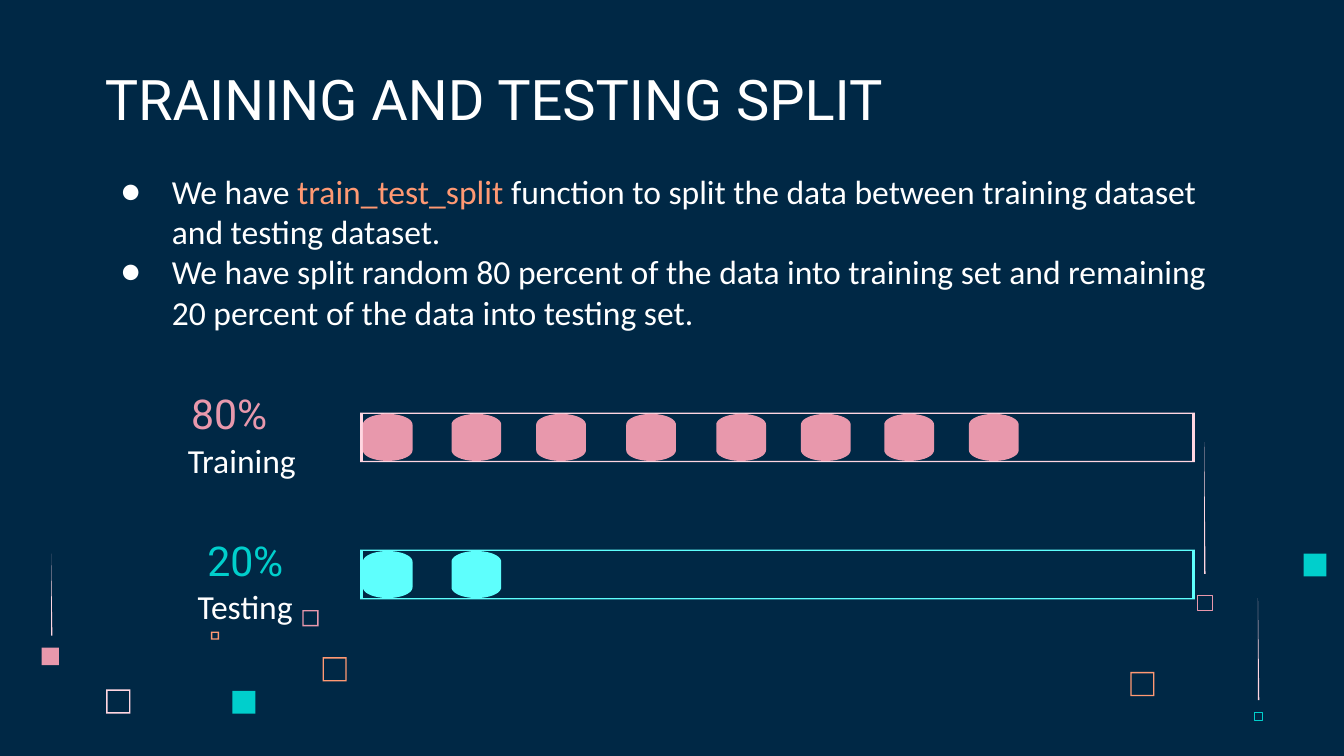
from math import cos, pi, sin
from typing import NamedTuple

from lxml.etree import SubElement
from pptx import Presentation
from pptx.dml.color import RGBColor
from pptx.enum.shapes import MSO_SHAPE
from pptx.enum.text import MSO_ANCHOR, PP_ALIGN
from pptx.oxml.ns import qn
from pptx.util import Inches, Pt

HUES = {
    "navy": "002845", "white": "FFFFFF", "blush": "FFD6E1", "pink": "E898AC",
    "orange": "FF9973", "teal": "00CFCC", "aqua": "5EFFFD",
}


class Square(NamedTuple):
    x: float
    y: float
    size: float
    hue: str


class Spike(NamedTuple):
    x: float
    y: float
    height: float


class Label(NamedTuple):
    text: str
    x: float
    y: float
    width: float
    font: str
    size: int
    hue: str


class Bar(NamedTuple):
    y: float
    rim: str
    hue: str
    count: int


FRAMES = [
    Square(0.79, 5.13, 0.18, "blush"),
    Square(2.25, 4.54, 0.12, "pink"),
    Square(1.57, 4.7, 0.06, "orange"),
    Square(2.4, 4.89, 0.18, "orange"),
    Square(8.41, 5, 0.18, "orange"),
]
SOLIDS = [
    Square(1.73, 5.14, 0.17, "teal"),
    Square(0.31, 4.82, 0.13, "pink"),
    Square(9.7, 4.12, 0.17, "teal"),
]
HOLLOWS = [Square(8.91, 4.43, 0.11, "pink"), Square(9.33, 5.3, 0.06, "teal")]
SPIKES = [Spike(8.96, 3.29, 0.98), Spike(0.38, 4.12, 0.61), Spike(9.36, 4.45, 0.76)]
LABELS = [
    Label("Training", 1.21, 3.24, 1.18, "Calibri", 18, "white"),
    Label("Testing", 1.21, 4.33, 1.23, "Calibri", 18, "white"),
    Label("80%", 1.21, 2.93, 0.99, "Roboto", 22, "pink"),
    Label("20%", 1.33, 4.02, 0.99, "Roboto", 22, "teal"),
]
BARS = [Bar(3.07, "blush", "pink", 8), Bar(4.09, "aqua", "aqua", 2)]
BARRELS = [2.7, 3.36, 3.99, 4.66, 5.33, 5.96, 6.58, 7.21]
POINTS = [
    [("We have ", "white"), ("train_test_split", "orange"),
     (" function to split the data between training dataset and testing dataset.", "white")],
    [("We have split random 80 percent of the data into training set and remaining "
      "20 percent of the data into testing set.", "white")],
]


def tint(name: str) -> RGBColor:
    return RGBColor.from_string(HUES[name])


def paint(shape, hue: str) -> None:
    shape.shadow.inherit = False
    shape.fill.solid()
    shape.fill.fore_color.rgb = tint(hue)
    shape.line.fill.background()


def outline(slide, loops: list, hue: str) -> None:
    """Fill closed loops of points; a second loop cuts a hole."""
    first, *rest = [[(Inches(x), Inches(y)) for x, y in loop] for loop in loops]
    pen = slide.shapes.build_freeform(*first[0])
    pen.add_line_segments(first[1:], close=True)
    for loop in rest:
        pen.move_to(*loop[0])
        pen.add_line_segments(loop[1:], close=True)
    paint(pen.convert_to_shape(), hue)


def frame(slide, x: float, y: float, w: float, h: float, side: float, hue: str) -> None:
    edge, r, b = 0.01, x + w, y + h
    outer = [(x, y), (x, b), (r, b), (r, y)]
    inner = [(x + side, y + edge), (r - side, y + edge),
             (r - side, b - edge), (x + side, b - edge)]
    outline(slide, [outer, inner], hue)


def barrel(slide, x: float, y: float, hue: str) -> None:
    w, h, bulge, steps = 0.37, 0.35, 0.08, 24
    mid = x + w / 2
    turns = [pi * i / steps for i in range(steps + 1)]
    top = [(mid - w / 2 * cos(t), y + bulge - bulge * sin(t)) for t in turns]
    base = [(mid + w / 2 * cos(t), y + h - bulge + bulge * sin(t)) for t in turns]
    outline(slide, [top + base], hue)


def square(slide, item: Square, solid: bool) -> None:
    size = Inches(item.size)
    shape = slide.shapes.add_shape(
        MSO_SHAPE.RECTANGLE, Inches(item.x), Inches(item.y), size, size)
    paint(shape, item.hue)
    if not solid:
        shape.fill.background()
        shape.line.color.rgb = tint(item.hue)
        shape.line.width = Pt(0.23)


def place(shape, x: float, y: float, w: float, h: float, anchor=MSO_ANCHOR.BOTTOM):
    """Set the bounds and return the text frame."""
    shape.left, shape.top = Inches(x), Inches(y)
    shape.width, shape.height = Inches(w), Inches(h)
    text = shape.text_frame
    text.word_wrap = True
    text.vertical_anchor = anchor
    text.margin_left = text.margin_right = Inches(0.1)
    text.margin_top = text.margin_bottom = Inches(0.1)
    return text


def style(run, font: str, size: int, hue: str) -> None:
    run.font.name = font
    run.font.size = Pt(size)
    run.font.color.rgb = tint(hue)


def bullet(para) -> None:
    props = para._p.get_or_add_pPr()
    props.set("marL", str(Inches(0.5)))
    props.set("indent", str(Inches(-0.38)))
    color = SubElement(props, qn("a:buClr"))
    SubElement(color, qn("a:srgbClr"), val=HUES["white"])
    SubElement(props, qn("a:buSzPts"), val="1800")
    SubElement(props, qn("a:buFont"), typeface="Calibri")
    SubElement(props, qn("a:buChar"), char="●")


def write(slide) -> None:
    text = place(slide.shapes.title, 0.68, 0.45, 8.55, 0.63)
    text.text = "TRAINING AND TESTING SPLIT"
    para = text.paragraphs[0]
    para.alignment = PP_ALIGN.LEFT
    style(para.runs[0], "Roboto", 30, "white")

    box = slide.shapes.add_textbox(0, 0, 0, 0)
    body = place(box, 0.68, 1.17, 8.55, 3.88, MSO_ANCHOR.TOP)
    for i, parts in enumerate(POINTS):
        para = body.add_paragraph() if i else body.paragraphs[0]
        bullet(para)
        for words, hue in parts:
            run = para.add_run()
            run.text = words
            style(run, "Calibri", 18, hue)

    for item in LABELS:
        box = slide.shapes.add_textbox(0, 0, 0, 0)
        text = place(box, item.x, item.y, item.width, 0.43)
        text.text = item.text
        para = text.paragraphs[0]
        para.alignment = PP_ALIGN.CENTER
        style(para.runs[0], item.font, item.size, item.hue)


def main() -> None:
    deck = Presentation()
    deck.slide_width, deck.slide_height = Inches(10), Inches(10 * 9 / 16)
    slide = deck.slides.add_slide(deck.slide_layouts[5])
    slide.background.fill.solid()
    slide.background.fill.fore_color.rgb = tint("navy")

    for item in FRAMES:
        frame(slide, item.x, item.y, item.size, item.size, 0.01, item.hue)
    for item in SOLIDS:
        square(slide, item, True)
    for item in HOLLOWS:
        square(slide, item, False)
    for x, y, high in SPIKES:
        outline(slide, [[(x, y), (x, y + high), (x + 0.01, y + high)]], "blush")
    write(slide)
    for bar in BARS:
        frame(slide, 2.68, bar.y, 6.21, 0.37, 0.02, bar.rim)
        for x in BARRELS[:bar.count]:
            barrel(slide, x, bar.y + 0.01, bar.hue)
    deck.save("out.pptx")


if __name__ == "__main__":
    main()
